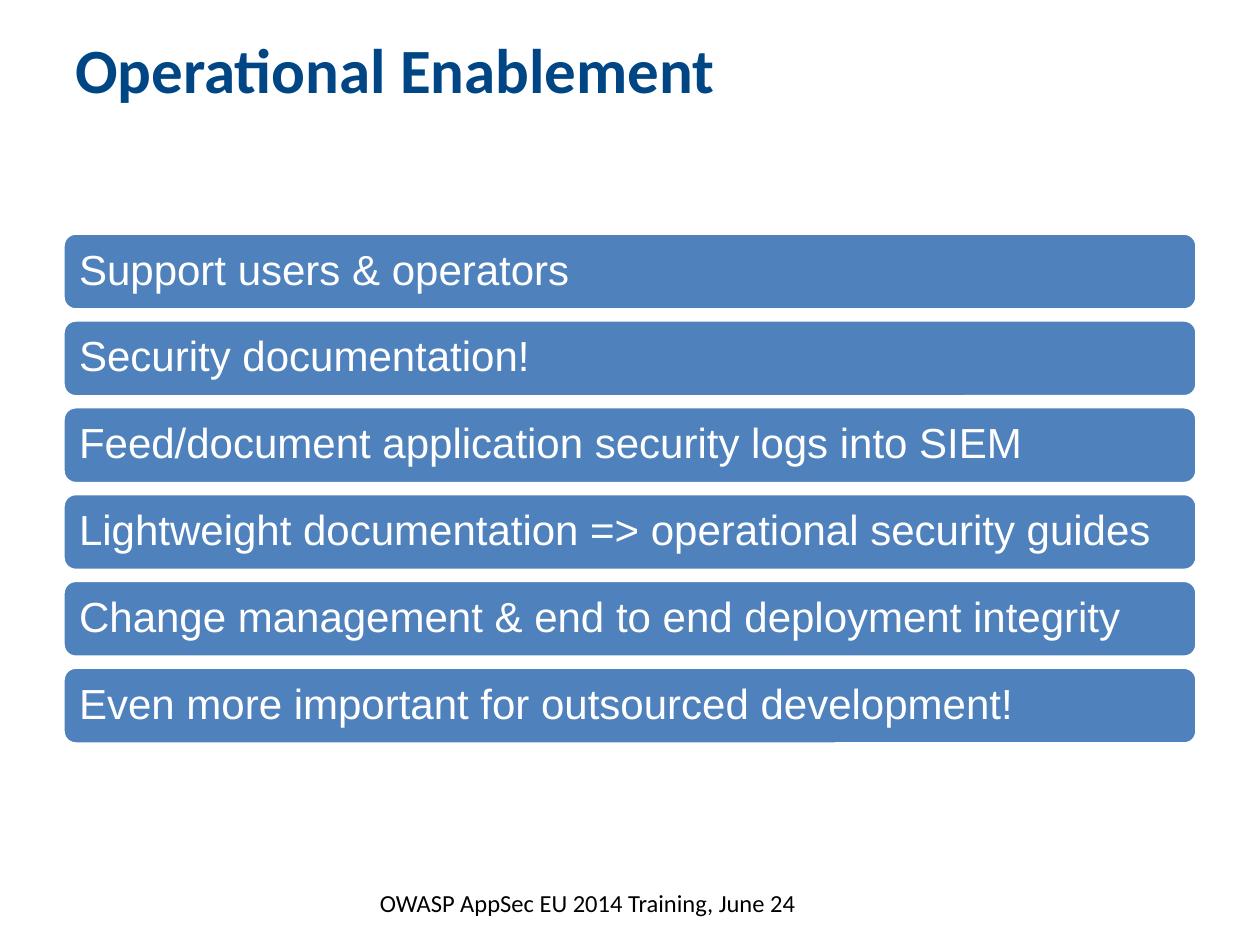
from dataclasses import dataclass

from pptx import Presentation
from pptx.dml.color import RGBColor
from pptx.enum.shapes import MSO_SHAPE
from pptx.enum.text import MSO_ANCHOR, MSO_AUTO_SIZE, PP_ALIGN
from pptx.util import Cm, Pt

ROUNDED = MSO_SHAPE.ROUNDED_RECTANGLE
LEFT, CENTER = PP_ALIGN.LEFT, PP_ALIGN.CENTER
TOP, MIDDLE = MSO_ANCHOR.TOP, MSO_ANCHOR.MIDDLE
NO_FIT = MSO_AUTO_SIZE.NONE


@dataclass(frozen=True)
class Theme:
    navy: RGBColor = RGBColor(0x00, 0x46, 0x85)
    blue: RGBColor = RGBColor(0x4F, 0x81, 0xBD)
    white: RGBColor = RGBColor(0xFF, 0xFF, 0xFF)
    black: RGBColor = RGBColor(0x00, 0x00, 0x00)
    heading_font: str = "Calibri"
    body_font: str = "Arial"
    title_size: int = 36
    bar_size: int = 24
    footer_size: int = 14


THEME = Theme()
MARGIN, CONTENT_WIDTH = 1.27, 22.86
BARS_TOP, BAR_HEIGHT, BAR_PITCH = 4.7, 1.55, 1.75
INSET = Cm(0.25)
POINTS = [
    "Support users & operators",
    "Security documentation!",
    "Feed/document application security logs into SIEM",
    "Lightweight documentation => operational security guides",
    "Change management & end to end deployment integrity",
    "Even more important for outsourced development!",
]


def set_text(sp, text, *, font, size, color, bold=False, align=LEFT,
             anchor=MIDDLE, line_spacing=1.0):
    tf = sp.text_frame
    tf.word_wrap = True
    tf.auto_size = NO_FIT
    tf.vertical_anchor = anchor
    tf.margin_left = tf.margin_right = INSET
    tf.margin_top = tf.margin_bottom = INSET
    p = tf.paragraphs[0]
    p.alignment = align
    p.line_spacing = line_spacing
    p.space_before = Pt(0)
    r = p.add_run()
    r.text = text
    r.font.name = font
    r.font.size = Pt(size)
    r.font.bold = bold
    r.font.color.rgb = color


def set_title(s, text):
    sp = s.shapes.title
    sp.left, sp.top = Cm(MARGIN), Cm(0.76)
    sp.width, sp.height = Cm(CONTENT_WIDTH), Cm(1.24)
    set_text(sp, text, font=THEME.heading_font, size=THEME.title_size,
             color=THEME.navy, bold=True)


def add_bar(s, text, top):
    sp = s.shapes.add_shape(ROUNDED, Cm(MARGIN), Cm(top),
                            Cm(CONTENT_WIDTH), Cm(BAR_HEIGHT))
    sp.shadow.inherit = False
    sp.fill.solid()
    sp.fill.fore_color.rgb = THEME.blue
    sp.line.color.rgb = THEME.white
    sp.line.width = Pt(2)
    set_text(sp, text, font=THEME.body_font, size=THEME.bar_size,
             color=THEME.white, line_spacing=0.9)


def add_footer(s, text):
    sp = s.shapes.add_textbox(Cm(4.37), Cm(17.65), Cm(14.96), Cm(1.02))
    set_text(sp, text, font=THEME.heading_font, size=THEME.footer_size,
             color=THEME.black, align=CENTER, anchor=TOP)


def main():
    prs = Presentation()
    prs.slide_width, prs.slide_height = Cm(25.4), Cm(19.05)
    s = prs.slides.add_slide(prs.slide_layouts[5])
    set_title(s, "Operational Enablement")
    for i, point in enumerate(POINTS):
        add_bar(s, point, BARS_TOP + i * BAR_PITCH)
    add_footer(s, "OWASP AppSec EU 2014 Training, June 24")
    prs.save("out.pptx")


if __name__ == "__main__":
    main()
